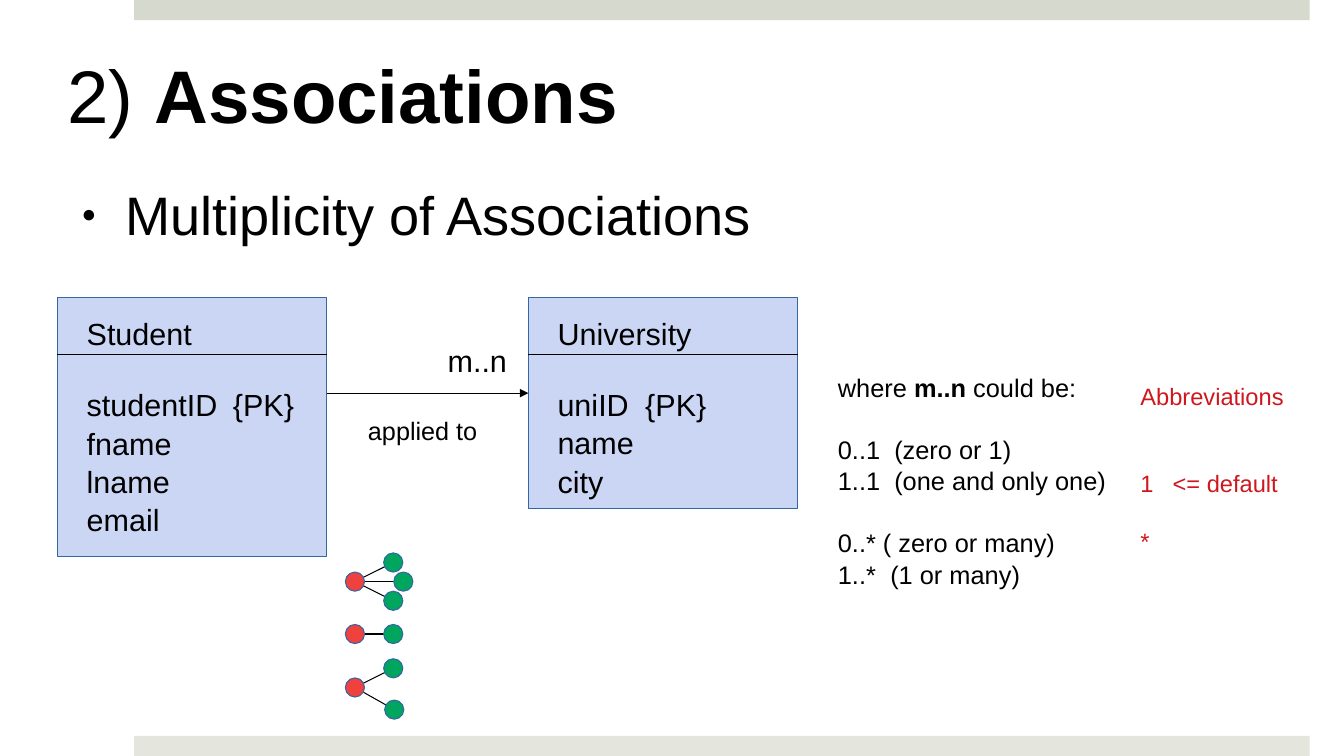
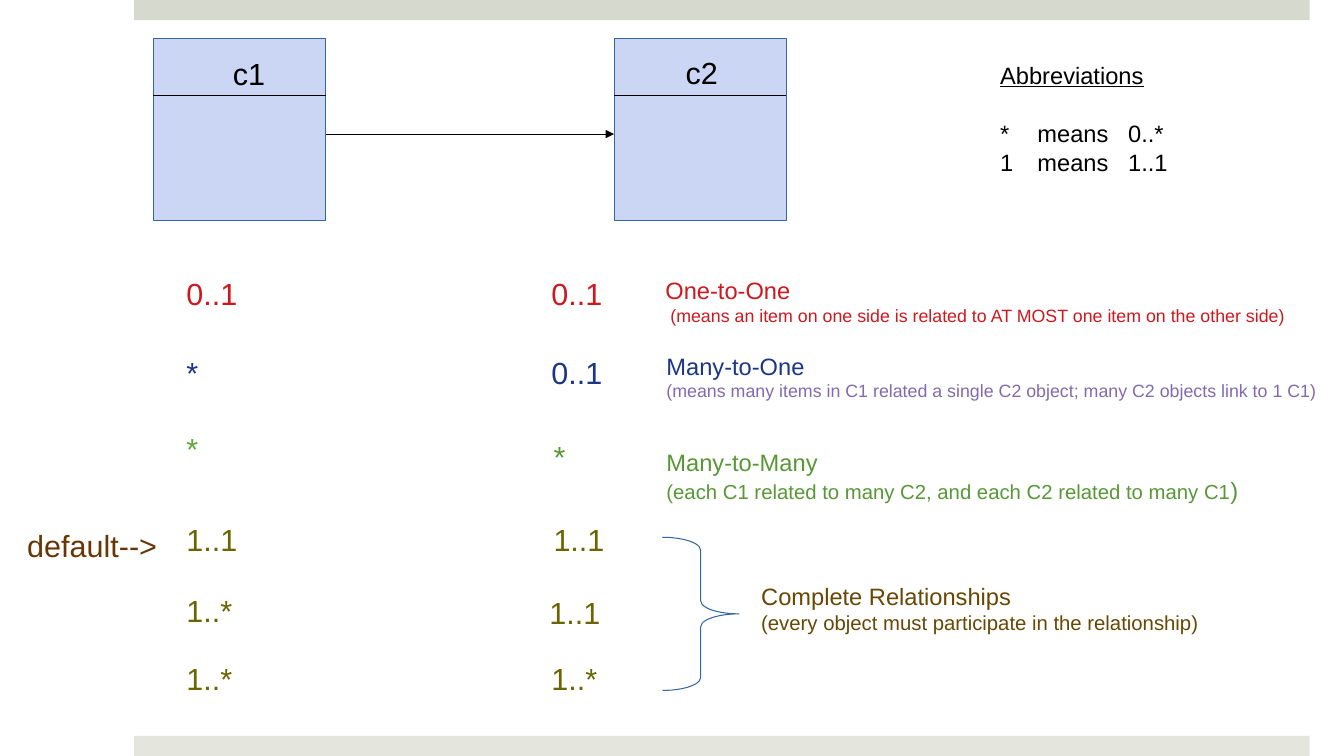
from dataclasses import dataclass

from lxml import etree
from pptx import Presentation
from pptx.dml.color import RGBColor
from pptx.enum import shapes as kinds, text as texts
from pptx.oxml import ns
from pptx.util import Inches, Pt


@dataclass(frozen=True)
class Theme:
    font: str = "Arial"
    black: str = "000000"
    top: str = "D6D9CD"
    base: str = "E4E6DE"
    box: str = "CAD6F4"
    edge: str = "3465A4"
    red: str = "CE181E"
    navy: str = "1C3687"
    violet: str = "826AAF"
    lime: str = "62A73B"
    green: str = "579835"
    olive: str = "6B6400"
    brown: str = "684703"
    rust: str = "673604"
    hub: str = "EF413D"
    leaf: str = "00A65D"
    title: float = 53.2
    body: float = 38.7
    main: float = 21.8
    note: float = 18.1
    label: float = 18
    small: float = 16.9
    hint: float = 14.5
    tiny: float = 12.7
    rule: float = 0.75


T = Theme()


@dataclass(frozen=True)
class Line:
    """One paragraph; text between bars is bold, tabs are in inches."""
    text: str
    size: float = T.main
    color: str = T.black
    before: float = 0
    tabs: tuple[float, ...] = ()
    under: bool = False


@dataclass(frozen=True)
class Entity:
    x: float
    y: float
    w: float
    h: float
    name: str
    shift: float = 0.17
    drop: float = 0.12
    fields: tuple[str, ...] = ()
    tab: float = 1


@dataclass(frozen=True)
class Pair:
    """The multiplicities at both ends of an association."""
    left: str
    right: str
    x: float
    y: float
    color: str
    drop: float = 0
    other: str = ""


@dataclass(frozen=True)
class Note:
    x: float
    y: float
    w: float
    lines: tuple[Line, ...]


@dataclass(frozen=True)
class Links:
    y: float
    ends: tuple[tuple[float, float], ...]


def rgb(code: str) -> RGBColor:
    return RGBColor.from_string(code)


def style(para, line: Line) -> None:
    """Fill one paragraph with a line and its format."""
    for i, part in enumerate(line.text.split("|")):
        if part:
            run = para.add_run()
            run.text = part
            if i % 2:
                run.font.bold = True
    para.alignment = texts.PP_ALIGN.LEFT
    para.space_before = Pt(line.before)
    if line.tabs:
        stops = etree.SubElement(para._p.get_or_add_pPr(), ns.qn("a:tabLst"))
        for stop in line.tabs:
            etree.SubElement(stops, ns.qn("a:tab"), pos=str(Inches(stop)), algn="l")
    font = para.font
    font.name, font.size = T.font, Pt(line.size)
    font.color.rgb = rgb(line.color)
    if line.under:
        font.underline = True


def write(slide, x: float, y: float, w: float, *lines: Line, lead: float = 1):
    """Add a text box and return its frame."""
    box = slide.shapes.add_textbox(Inches(x), Inches(y), Inches(w), Inches(0.12 + 0.34 * len(lines)))
    frame = box.text_frame
    frame.word_wrap = True
    frame.margin_left = frame.margin_right = Inches(0.12)
    frame.margin_top = frame.margin_bottom = Inches(0.06)
    for i, line in enumerate(lines):
        para = frame.add_paragraph() if i else frame.paragraphs[0]
        style(para, line)
        para.line_spacing = lead
    return frame


def shape(slide, kind, x: float, y: float, w: float, h: float, fill: str = "", edge: str = ""):
    item = slide.shapes.add_shape(kind, Inches(x), Inches(y), Inches(w), Inches(h))
    item.shadow.inherit = False
    if fill:
        item.fill.solid()
        item.fill.fore_color.rgb = rgb(fill)
    else:
        item.fill.background()
    if edge:
        item.line.color.rgb = rgb(edge)
        item.line.width = Pt(T.rule)
    else:
        item.line.fill.background()
    return item


def join(slide, x: float, y: float, x2: float, y2: float, arrow: bool = False) -> None:
    """Draw a straight line, with an arrowhead on request."""
    link = slide.shapes.add_connector(
        kinds.MSO_CONNECTOR.STRAIGHT, Inches(x), Inches(y), Inches(x2), Inches(y2))
    link.line.color.rgb = rgb(T.black)
    link.line.width = Pt(T.rule)
    if arrow:
        etree.SubElement(link.line._get_or_add_ln(), ns.qn("a:tailEnd"), type="triangle")
    etree.SubElement(link._element.spPr, ns.qn("a:effectLst"))


def entity(slide, e: Entity) -> None:
    shape(slide, kinds.MSO_SHAPE.RECTANGLE, e.x, e.y, e.w, e.h, T.box, T.edge)
    join(slide, e.x, e.y + 0.57, e.x + e.w, e.y + 0.57)
    write(slide, e.x + e.shift, e.y + e.drop, e.w - e.shift, Line(e.name))
    if e.fields:
        lines = [Line(name, tabs=(e.tab,) if "\t" in name else ()) for name in e.fields]
        write(slide, e.x + e.shift, e.y + 0.81, e.w - e.shift, *lines, lead=1.04)


def relate(slide, a: Entity, b: Entity) -> None:
    """Draw two entities and the arrow between them."""
    entity(slide, a)
    entity(slide, b)
    join(slide, a.x + a.w, a.y + 0.95, b.x, b.y + 0.95, arrow=True)


def dots(slide, groups: tuple[Links, ...]) -> None:
    """Draw hubs linked to their leaves."""
    hub, size = 3.52, 0.19
    for g in groups:
        for x, y in g.ends:
            join(slide, hub, g.y, x, y)
        for x, y, color in [(*end, T.leaf) for end in g.ends] + [(hub, g.y, T.hub)]:
            shape(slide, kinds.MSO_SHAPE.OVAL, x - size / 2, y - size / 2, size, size, color, T.edge)


def place(item, x: float, y: float, w: float, h: float, line: Line):
    """Move and fill a placeholder, and return its paragraph."""
    item.left, item.top, item.width, item.height = map(Inches, (x, y, w, h))
    frame = item.text_frame
    frame.auto_size = texts.MSO_AUTO_SIZE.NONE
    frame.margin_left = frame.margin_right = frame.margin_top = frame.margin_bottom = 0
    style(frame.paragraphs[0], line)
    return frame.paragraphs[0]


def bands(deck, slide) -> None:
    """Put the two bands on the slide master."""
    tree = deck.slide_master.shapes.element
    for y, color in ((0, T.top), (7.3, T.base)):
        band = shape(slide, kinds.MSO_SHAPE.RECTANGLE, 1.33, y, 11.66, 0.2, color)
        tree.insert(2, band.element)


def classes(slide) -> None:
    """Fill the slide on multiplicity."""
    place(slide.shapes.title, 0.67, 0.3, 12, 1.25, Line("2) |Associations|", T.title))
    slide.shapes.title.text_frame.vertical_anchor = texts.MSO_ANCHOR.MIDDLE
    body = slide.placeholders[1]
    pr = body.text_frame.paragraphs[0]._p.get_or_add_pPr()
    pr.set("marL", str(Inches(0.57)))
    pr.set("indent", str(Inches(-0.43)))
    etree.SubElement(pr, ns.qn("a:buSzPct"), val="45000")
    etree.SubElement(pr, ns.qn("a:buChar"), char="●")
    place(body, 0.67, 1.8, 12, 1, Line("Multiplicity of Associations", T.body))

    relate(slide,
           Entity(0.57, 2.95, 2.67, 2.57, "Student",
                  fields=("studentID\t{PK}", "fname", "lname", "email"), tab=1.45),
           Entity(5.24, 2.95, 2.67, 2.1, "University",
                  fields=("uniID\t{PK}", "name", "city"), tab=0.87))
    write(slide, 3.53, 4.06, 1.7, Line("applied to", T.label))
    write(slide, 4.32, 3.33, 0.9, Line("m..n"))
    write(slide, 8.19, 3.62, 3,
          Line("where |m..n| could be:", T.note),
          Line("0..1\t(zero or 1)", T.note, before=21.6, tabs=(0.56,)),
          Line("1..1\t(one and only one)", T.note, tabs=(0.56,)),
          Line("0..* ( zero or many)", T.note, before=21.6),
          Line("1..*\t(1 or many)", T.note, tabs=(0.52,)), lead=1.04)
    write(slide, 11.19, 3.72, 2,
          Line("Abbreviations", T.small, T.red),
          Line("1\t<= default", T.small, T.red, before=41, tabs=(0.32,)),
          Line("*", T.small, T.red, before=20.5), lead=1.04)
    dots(slide, (
        Links(5.77, ((3.9, 5.58), (4, 5.77), (3.9, 5.96))),
        Links(6.29, ((3.9, 6.29),)),
        Links(6.82, ((3.9, 6.63), (3.91, 7.04))),
    ))


def kinships(slide) -> None:
    """Fill the slide on kinds of relationship."""
    relate(slide,
           Entity(1.52, 0.38, 1.71, 1.81, "c1", shift=0.67, drop=0.11),
           Entity(6.09, 0.38, 1.71, 1.81, "c2", shift=0.59, drop=0.1))
    pairs = (
        Pair("0..1", "0..1", 5.35, 2.67, T.red),
        Pair("*", "0..1", 5.35, 3.45, T.navy),
        Pair("*", "*", 5.37, 4.21, T.lime, drop=0.08, other=T.green),
        Pair("1..1", "1..1", 5.37, 5.11, T.olive),
        Pair("1..*", "1..1", 5.33, 5.81, T.olive, drop=0.02),
        Pair("1..*", "1..*", 5.35, 6.49, T.olive),
    )
    for p in pairs:
        write(slide, 1.73, p.y, 1, Line(p.left, color=p.color))
        write(slide, p.x, p.y + p.drop, 1, Line(p.right, color=p.other or p.color))

    notes = (
        Note(6.48, 2.68, 6.8, (
            Line("One-to-One", T.small, T.red),
            Line(" (means an item on one side is related to AT MOST one item on the other side)",
                 T.tiny, T.red))),
        Note(6.49, 3.43, 6.84, (
            Line("Many-to-One", T.small, T.navy),
            Line("(means many items in C1 related a single C2 object; many C2 objects link to 1 C1)",
                 T.tiny, T.violet))),
        Note(7.43, 5.71, 4.8, (
            Line("Complete Relationships", T.small, T.brown),
            Line("(every object must participate in the relationship)", T.hint, T.brown))),
        Note(6.49, 4.38, 6.2, (
            Line("Many-to-Many", T.small, T.green),
            Line("(each C1 related to many C2, and each C2 related to many C1", T.hint, T.green))),
    )
    for n in notes:
        frame = write(slide, n.x, n.y, n.w, *n.lines)
    close = frame.paragraphs[-1].add_run()
    close.text = ")"
    close.font.size = Pt(T.small)

    stops = (0.37, 1.27)
    write(slide, 9.8, 0.53, 3.1,
          Line("Abbreviations", T.small, under=True),
          Line("*\tmeans\t0..*", T.small, before=20.5, tabs=stops),
          Line("1\tmeans\t1..1", T.small, tabs=stops), lead=1.04)
    brace = shape(slide, kinds.MSO_SHAPE.RIGHT_BRACE, 6.57, 5.33, 0.76, 1.52, edge=T.edge)
    brace.adjustments[0] = 0.17
    write(slide, 0.15, 5.17, 1.9, Line("default-->", color=T.rust))


def main() -> None:
    deck = Presentation()
    deck.slide_width, deck.slide_height = Inches(13.33), Inches(7.5)
    first = deck.slides.add_slide(deck.slide_layouts[1])
    bands(deck, first)
    classes(first)
    kinships(deck.slides.add_slide(deck.slide_layouts[6]))
    deck.save("out.pptx")


if __name__ == "__main__":
    main()
